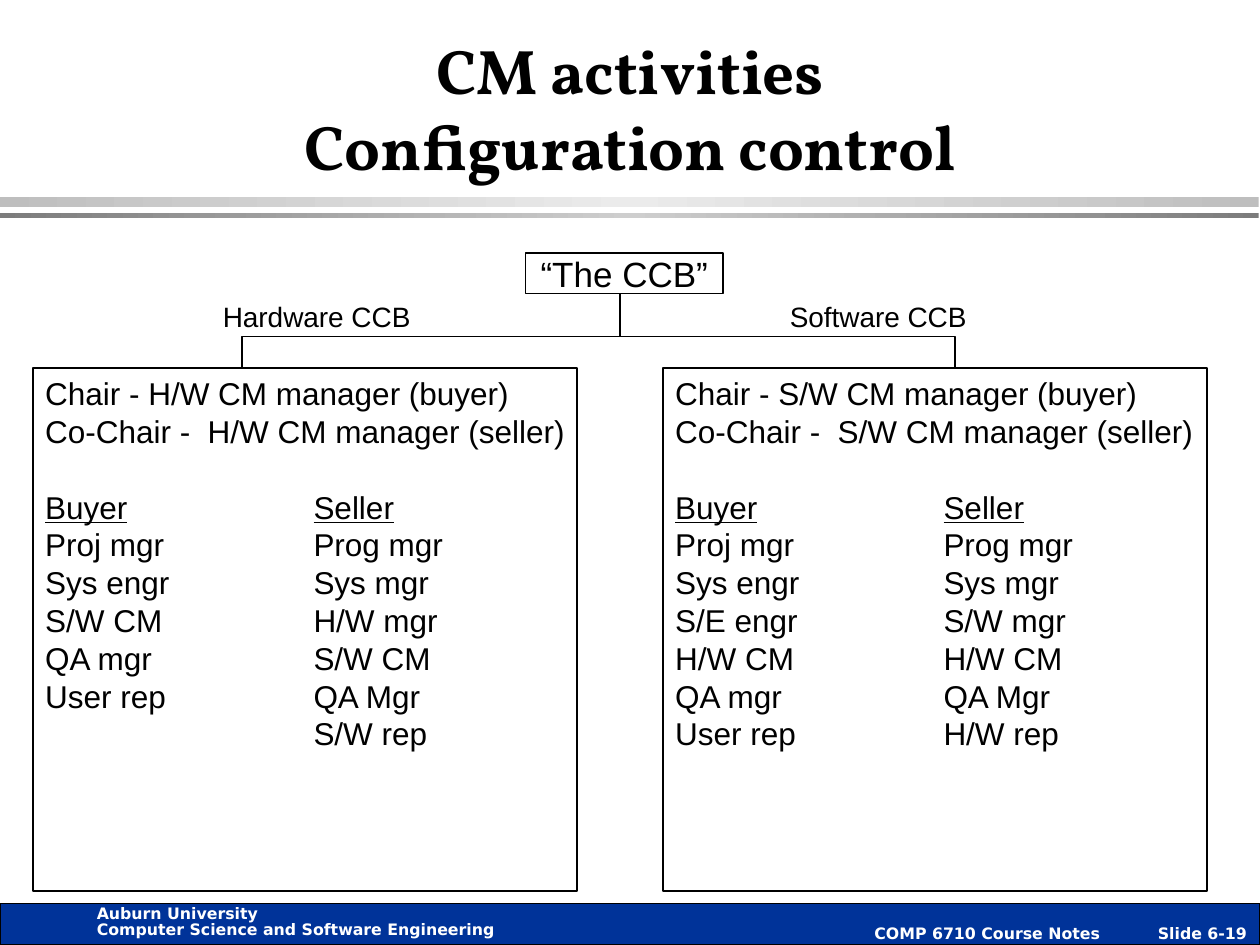
from copy import deepcopy
from lxml.etree import SubElement
from pptx import Presentation
from pptx.dml.color import RGBColor
from pptx.enum.shapes import MSO_CONNECTOR as Link, MSO_SHAPE as Shape
from pptx.enum.text import MSO_ANCHOR as Anchor, PP_ALIGN as Align
from pptx.oxml.ns import qn
from pptx.util import Inches, Pt

BLACK, WHITE, BLUE = "000000", "FFFFFF", "003399"


def paint(color, code):
    """Set a colour format from a hex string."""
    color.rgb = RGBColor.from_string(code)


def outline(shape, width=1):
    """Give a shape or connector a black line."""
    paint(shape.line.color, BLACK)
    shape.line.width = Pt(width)


def add_rect(slide, box, fill=None, line=None):
    """Add a plain rectangle with optional fill and line width."""
    rect = slide.shapes.add_shape(Shape.RECTANGLE, *map(Inches, box))
    rect.shadow.inherit = False
    if fill:
        rect.fill.solid()
        paint(rect.fill.fore_color, fill)
    else:
        rect.fill.background()
    if line:
        outline(rect, line)
    else:
        rect.line.fill.background()
    return rect


def add_text(slide, box):
    """Add an empty text box."""
    return slide.shapes.add_textbox(*map(Inches, box))


def write(shape, lines, size, font="Arial", color=BLACK, bold=False,
          align=Align.LEFT, anchor=Anchor.TOP, tab=None):
    """Write one paragraph per line and return the paragraphs."""
    frame = shape.text_frame
    frame.word_wrap = True
    frame.vertical_anchor = anchor
    frame.text = "\n".join(lines)
    for para in frame.paragraphs:
        para.alignment = align
        para.font.size, para.font.name, para.font.bold = Pt(size), font, bold
        paint(para.font.color, color)
        if tab:
            props = para._p.get_or_add_pPr()
            stops = SubElement(props, qn("a:tabLst"))
            SubElement(stops, qn("a:tab"), pos=str(Inches(tab)), algn="l")
            props.insert(0, stops)
    return frame.paragraphs


def add_band(slide, box, edge, middle):
    """Add a bar shaded from edge to middle and back."""
    band = add_rect(slide, box)
    band.fill.gradient()
    band.fill.gradient_angle = 0
    first, last = band.fill.gradient_stops
    paint(first.color, edge)
    paint(last.color, middle)
    last.position = 0.5
    stops = band._element.spPr.find(".//" + qn("a:gsLst"))
    end = deepcopy(stops[0])
    end.set("pos", "100000")
    stops.append(end)


def add_head(slide, left, top):
    """Place the title and the two bars below it."""
    title = add_text(slide, (left + 0.75, top + 0.25, 8.5, 1.25))
    write(title, ["CM activities\vConfiguration control"], 36, "Vollkorn",
          bold=True, align=Align.CENTER, anchor=Anchor.BOTTOM)
    add_band(slide, (left, top + 1.56, 9.99, 0.08), "BEBEBE", "EBEBEB")
    add_band(slide, (left, top + 1.69, 9.99, 0.04), "7C7C7C", "CECECE")


def add_foot(slide, left, top):
    """Place the blue footer with its school and course text."""
    style = dict(size=9, font="DejaVu Sans", color=WHITE, bold=True)
    bar = add_rect(slide, (left, top, 10, 0.33), BLUE, 0.75)
    frame = bar.text_frame
    frame.margin_left, frame.margin_right = Inches(6.94), 0
    frame.margin_top, frame.margin_bottom = 0, Inches(0.02)
    write(bar, ["COMP 6710 Course Notes\tSlide 6-19"],
          anchor=Anchor.BOTTOM, tab=2.25, **style)
    school = add_text(slide, (left + 0.67, top - 0.02, 3.6, 0.35))
    for para in write(school, ["Auburn University",
                               "Computer Science and Software Engineering"],
                      **style):
        para.line_spacing = Pt(9)


def add_tree(slide, left, top):
    """Place the top board and the lines to its two branches."""
    board = add_rect(slide, (left + 2.25, top, 1.57, 0.32), line=1)
    write(board, ["“The CCB”"], 20, align=Align.CENTER, anchor=Anchor.MIDDLE)
    right, bar, low = left + 5.66, top + 0.66, top + 0.91
    pen = slide.shapes.build_freeform(Inches(left), Inches(low))
    pen.add_line_segments([(Inches(x), Inches(y)) for x, y in
                           ((left, bar), (right, bar), (right, low))],
                          close=False)
    fork = pen.convert_to_shape()
    fork.shadow.inherit = False
    fork.fill.background()
    outline(fork)
    stem = slide.shapes.add_connector(
        Link.STRAIGHT, *map(Inches, (left + 3, top + 0.32, left + 3, bar)))
    SubElement(stem._element.spPr, qn("a:effectLst"))
    outline(stem)


def add_board(slide, left, top, label, shift, code, buyers, sellers):
    """Place one branch: its label, chairs and two columns of members."""
    name = add_text(slide, (left + shift, top - 0.59, 1.93, 0.37))
    write(name, [label], 16)
    panel = add_rect(slide, (left, top, 4.32, 4.15), line=1)
    panel.text_frame.margin_right = 0
    chairs = [f"Chair - {code} CM manager (buyer)",
              f"Co-Chair -  {code} CM manager (seller)"]
    rows = [f"{buyer}\t{seller}" for buyer, seller in zip(buyers, sellers)]
    paras = write(panel, chairs + ["Buyer\tSeller"] + rows, 18, tab=2.13)
    paras[2].space_before = Pt(21.6)
    paras[2].font.underline = True


def main():
    """Build and save the slide."""
    deck = Presentation()
    deck.slide_width, deck.slide_height = Inches(10), Inches(7.5)
    slide = deck.slides.add_slide(deck.slide_layouts[6])
    add_head(slide, 0, 0)
    add_foot(slide, 0, 7.17)
    add_tree(slide, 1.92, 2.01)
    add_board(slide, 0.26, 2.92, "Hardware CCB", 1.41, "H/W",
              ["Proj mgr", "Sys engr", "S/W CM", "QA mgr", "User rep", ""],
              ["Prog mgr", "Sys mgr", "H/W mgr", "S/W CM", "QA Mgr",
               "S/W rep"])
    add_board(slide, 5.26, 2.92, "Software CCB", 0.91, "S/W",
              ["Proj mgr", "Sys engr", "S/E engr", "H/W CM", "QA mgr",
               "User rep"],
              ["Prog mgr", "Sys mgr", "S/W mgr", "H/W CM", "QA Mgr",
               "H/W rep"])
    deck.save("out.pptx")


main()
